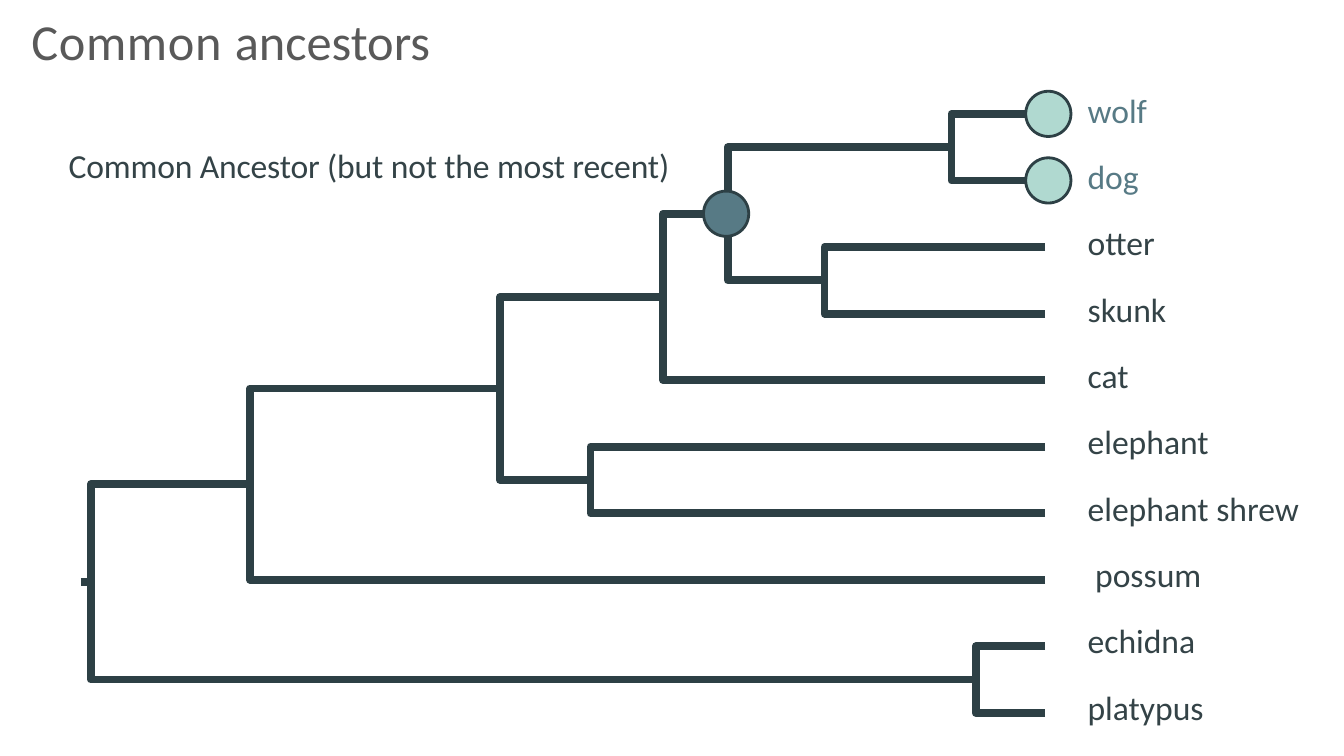
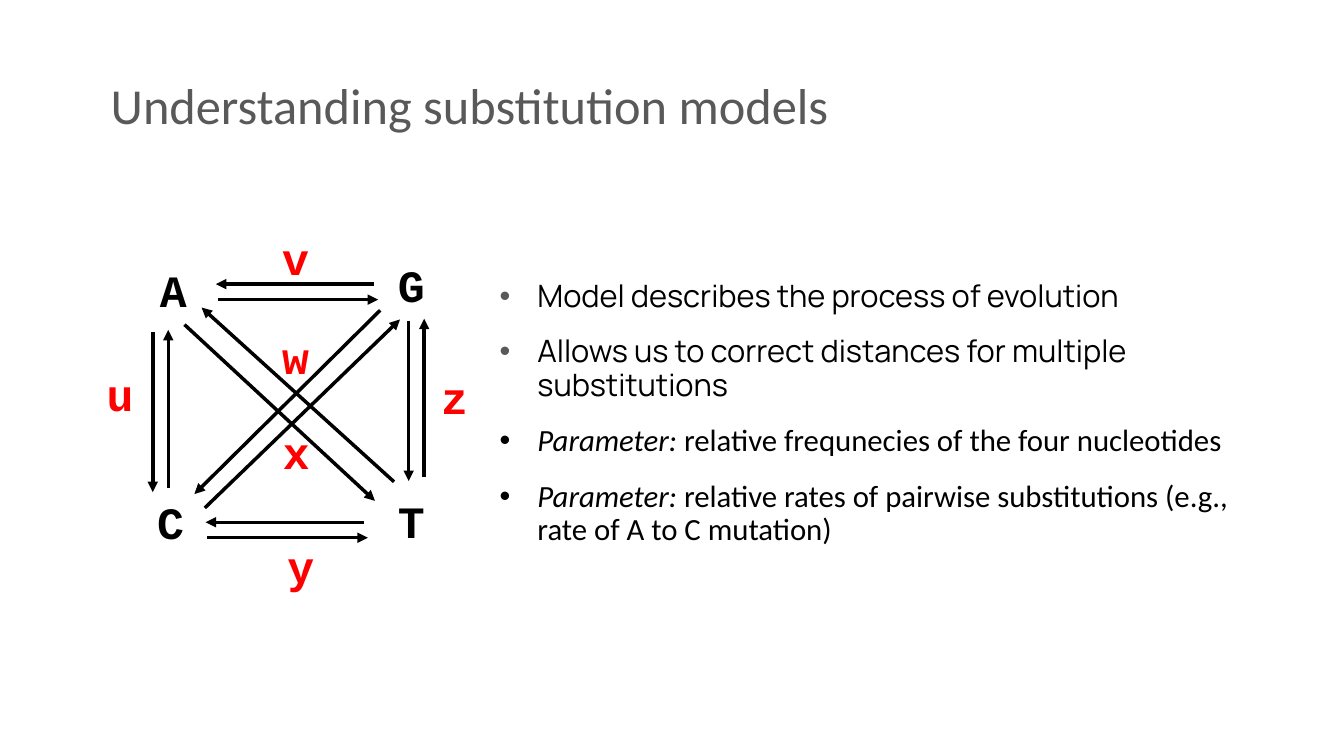
"""Build two slides on phylogenetics: a tree of common ancestors and a substitution model."""
from lxml.etree import SubElement
from pptx import Presentation
from pptx.dml.color import RGBColor
from pptx.enum.shapes import MSO_CONNECTOR, MSO_SHAPE
from pptx.enum.text import MSO_ANCHOR, MSO_AUTO_SIZE, PP_ALIGN
from pptx.oxml.ns import qn
from pptx.util import Cm, Pt

GREY = RGBColor(0x59, 0x59, 0x59)
SLATE = RGBColor(0x34, 0x43, 0x47)
BRANCH = RGBColor(0x2D, 0x40, 0x45)
TEAL = RGBColor(0x57, 0x7A, 0x85)
MINT = RGBColor(0xB0, 0xD9, 0xD0)
BLACK = RGBColor(0, 0, 0)
RED = RGBColor(0xFF, 0, 0)
HEADING_FONT = "Calibri"


def add_run(paragraph, text, size, color, name=HEADING_FONT, spacing=0):
    run = paragraph.add_run()
    run.text = text
    run.font.size = Pt(size)
    run.font.name = name
    run.font.color.rgb = color
    if spacing:
        run.font._element.set("spc", str(spacing))
    return run


def add_line(slide, start, end, color, width):
    ends = [Cm(value) for value in (*start, *end)]
    line = slide.shapes.add_connector(MSO_CONNECTOR.STRAIGHT, *ends)
    line.line.color.rgb = color
    line.line.width = Pt(width)
    SubElement(line._element.spPr, qn("a:effectLst"))
    return line


presentation = Presentation()
presentation.slide_width = Cm(33.87)
presentation.slide_height = Cm(19.05)

titles = [
    (5, (0.79, 0.13, 16.28, 1.65), [("Common ", 50), ("ancestors", 0)]),
    (1, (2.79, 1.22, 28.47, 2.16), [("Understanding substitution models", 0)]),
]
slides = []
for layout, box, runs in titles:
    slide = presentation.slides.add_slide(presentation.slide_layouts[layout])
    title = slide.shapes.title
    title.left, title.top, title.width, title.height = [Cm(value) for value in box]
    frame = title.text_frame
    frame.margin_left = frame.margin_top = frame.margin_right = frame.margin_bottom = 0
    frame.vertical_anchor = MSO_ANCHOR.BOTTOM
    frame.auto_size = MSO_AUTO_SIZE.NONE
    frame.paragraphs[0].alignment = PP_ALIGN.LEFT
    for text, spacing in runs:
        add_run(frame.paragraphs[0], text, 36, GREY, spacing=spacing)
    slides.append(slide)
tree_slide, model_slide = slides

species = ["wolf", "dog", "otter", "skunk", "cat", "elephant", "elephant shrew",
           "possum", "echidna", "platypus"]
clades = [
    ("canines", 23.98, "wolf", "dog"),
    ("mustelids", 20.78, "otter", "skunk"),
    ("dog-like", 18.34, "canines", "mustelids"),
    ("carnivores", 16.71, "dog-like", "cat"),
    ("afrotheres", 14.88, "elephant", "elephant shrew"),
    ("placentals", 12.6, "carnivores", "afrotheres"),
    ("therians", 6.3, "placentals", "possum"),
    ("monotremes", 24.59, "echidna", "platypus"),
    ("mammals", 2.29, "therians", "monotremes"),
]
nodes = {name: (26.34, 2.87 + 1.677 * row) for row, name in enumerate(species)}
for clade, x, *children in clades:
    y = sum(nodes[child][1] for child in children) / 2
    nodes[clade] = (x, y)
    for child in children:
        child_x, child_y = nodes[child]
        builder = tree_slide.shapes.build_freeform(Cm(child_x), Cm(child_y))
        builder.add_line_segments([(Cm(x), Cm(child_y)), (Cm(x), Cm(y))], close=False)
        branch = builder.convert_to_shape()
        branch.shadow.inherit = False
        branch.fill.background()
        branch.line.color.rgb = BRANCH
        branch.line.width = Pt(5.59)
root_x, root_y = nodes["mammals"]
add_line(tree_slide, (root_x - 0.25, root_y), (root_x, root_y), BRANCH, 5.59)

diameter = 1.14
for name, offset, color in [("dog", 0.08, MINT), ("wolf", 0.08, MINT), ("dog-like", -0.04, TEAL)]:
    x, y = nodes[name]
    circle = tree_slide.shapes.add_shape(
        MSO_SHAPE.OVAL, Cm(x + offset - diameter / 2), Cm(y - diameter / 2),
        Cm(diameter), Cm(diameter))
    circle.shadow.inherit = False
    circle.fill.solid()
    circle.fill.fore_color.rgb = color
    circle.line.color.rgb = BRANCH
    circle.line.width = Pt(2)

note = tree_slide.shapes.add_textbox(Cm(1.73), Cm(3.65), Cm(15.37), Cm(1.09))
labels = tree_slide.shapes.add_textbox(Cm(27.41), Cm(1.6), Cm(5.8), Cm(16.8))
for shape in (note, labels):
    frame = shape.text_frame
    frame.word_wrap = True
    frame.margin_left = frame.margin_top = frame.margin_right = frame.margin_bottom = 0
add_run(note.text_frame.paragraphs[0], "Common Ancestor (but not the most recent)", 24, SLATE,
        spacing=-10)
for row, name in enumerate(species):
    frame = labels.text_frame
    paragraph = frame.add_paragraph() if row else frame.paragraphs[0]
    paragraph.line_spacing = Pt(47.4)
    if name == "possum":
        paragraph._p.get_or_add_pPr().set("marL", str(Cm(0.19)))
    add_run(paragraph, name, 24, TEAL if name in ("wolf", "dog") else SLATE)

letters = [
    ("A", 3.78, 6.5, BLACK), ("G", 9.78, 6.38, BLACK),
    ("C", 3.71, 12.34, BLACK), ("T", 9.78, 12.32, BLACK),
    ("u", 2.44, 9.12, RED), ("v", 6.86, 5.69, RED), ("w", 6.86, 8.18, RED),
    ("x", 6.88, 10.57, RED), ("y", 6.99, 13.46, RED), ("z", 10.87, 9.19, RED),
]
for letter, left, top, color in letters:
    shape = model_slide.shapes.add_textbox(Cm(left), Cm(top), Cm(1.3), Cm(1.63))
    run = add_run(shape.text_frame.paragraphs[0], letter, 32, color, "Courier New")
    run.font.bold = True

arrows = [
    ((4.65, 8.18), (9.45, 12.62)), ((5.16, 12.8), (10.08, 8.05)),
    ((9.58, 7.82), (4.9, 12.45)), ((9.93, 12.14), (5.08, 7.75)),
]
for x, y in [(5.44, 7.16), (5.18, 13.16)]:
    arrows += [((x + 3.99, y), (x, y)), ((x + 0.05, y + 0.39), (x + 4.09, y + 0.39))]
for x, y in [(4.24, 8.31), (10.69, 8.03)]:
    arrows += [((x, y + 3.99), (x, y)), ((x - 0.39, y + 0.05), (x - 0.39, y + 4.09))]
for start, end in arrows:
    arrow = add_line(model_slide, start, end, BLACK, 2.5)
    SubElement(arrow.line._get_or_add_ln(), qn("a:tailEnd"), type="triangle")

bullets = [
    (GREY, "Manrope", "", "Model describes the process of evolution"),
    (GREY, "Manrope", "", "Allows us to correct distances for multiple substitutions"),
    (BLACK, "Calibri", "Parameter:", " relative frequnecies of the four nucleotides"),
    (BLACK, "Calibri", "Parameter:",
     " relative rates of pairwise substitutions (e.g., rate of A to C mutation)"),
]
body = model_slide.placeholders[1]
body.left, body.top, body.width, body.height = Cm(12.34), Cm(3.84), Cm(19.08), Cm(13.18)
frame = body.text_frame
frame.vertical_anchor = MSO_ANCHOR.MIDDLE
frame.auto_size = MSO_AUTO_SIZE.NONE
for index, (bullet_color, font, lead, text) in enumerate(bullets):
    paragraph = frame.add_paragraph() if index else frame.paragraphs[0]
    paragraph.line_spacing = 0.9
    paragraph.space_before = Pt(16 if index else 0)
    properties = paragraph._p.get_or_add_pPr()
    properties.set("marL", str(Cm(0.95)))
    properties.set("indent", str(-Cm(0.95)))
    SubElement(SubElement(properties, qn("a:buClr")), qn("a:srgbClr"), val=str(bullet_color))
    SubElement(properties, qn("a:buChar"), char="•")
    if lead:
        add_run(paragraph, lead, 22, BLACK, font).font.italic = True
    add_run(paragraph, text, 22, BLACK, font)

presentation.save("out.pptx")
